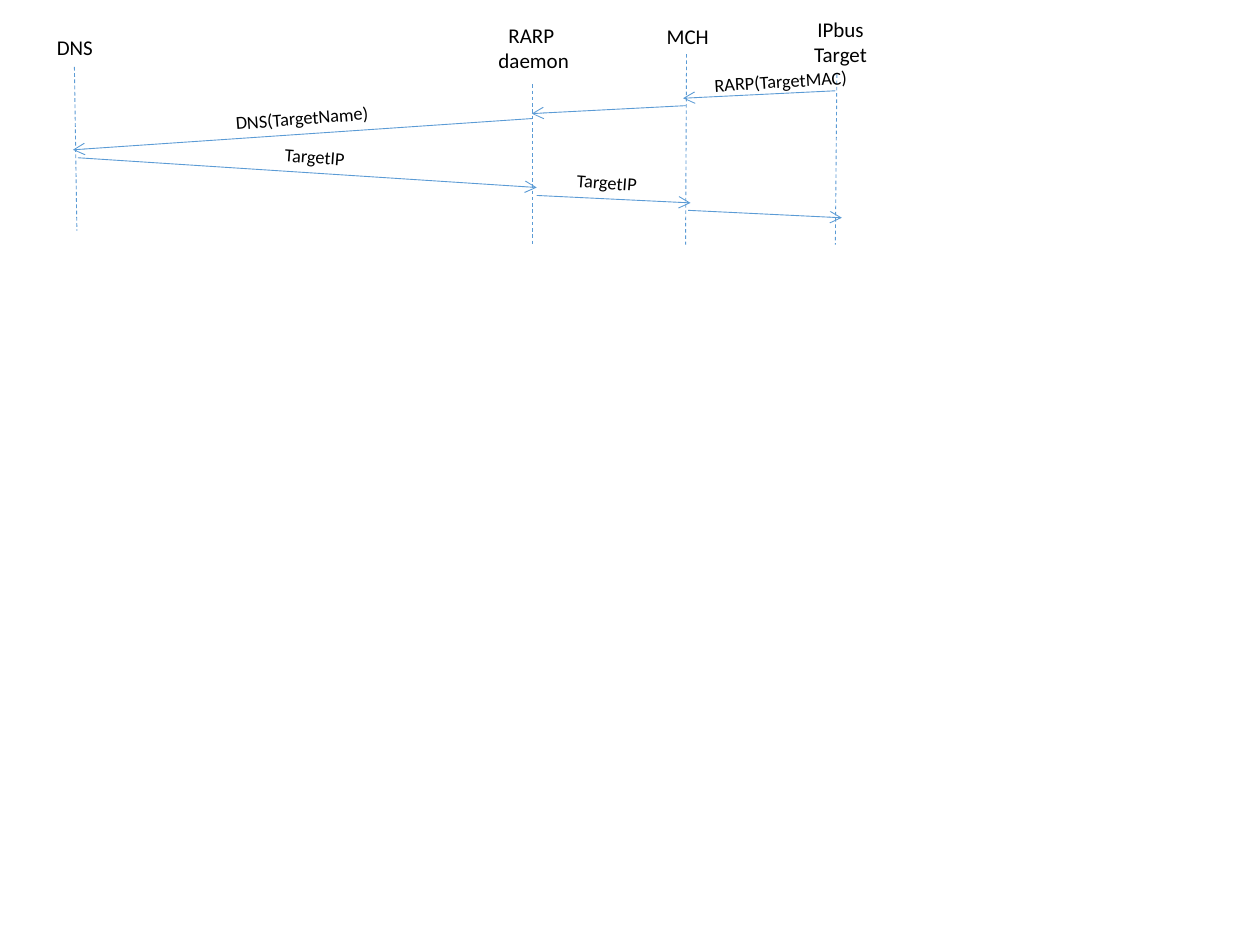
from pptx import Presentation
from pptx.dml.color import RGBColor
from pptx.enum.dml import MSO_LINE
from pptx.enum.shapes import MSO_CONNECTOR
from pptx.enum.text import MSO_AUTO_SIZE, PP_ALIGN
from pptx.oxml.ns import qn
from pptx.util import Cm, Pt
from lxml.etree import SubElement


def color(value):
    """Return the colour for a hex string."""
    return RGBColor.from_string(value)


class SequenceDiagram:
    """Hold the style and the slide of a sequence diagram."""

    font = "Calibri"
    ink = "000000"
    accent = "5B9BD5"
    line_width = 0.5

    def __init__(self, slide):
        """Start drawing on the given slide."""
        self.slide = slide

    def text(self, lines, left, top, width, height, size, align, wrap):
        """Add a text box with one paragraph for each line."""
        sp = self.slide.shapes.add_textbox(Cm(left), Cm(top), Cm(width), Cm(height))
        tf = sp.text_frame
        tf.word_wrap = wrap
        tf.auto_size = MSO_AUTO_SIZE.SHAPE_TO_FIT_TEXT
        tf.text = "\n".join(lines)
        for p in tf.paragraphs:
            p.alignment = align
            p.font.name = self.font
            p.font.size = Pt(size)
            p.font.color.rgb = color(self.ink)
        return sp

    def participant(self, lines, left, top, width, height):
        """Add the centred name of a participant."""
        self.text(lines, left, top, width, height, 12, PP_ALIGN.CENTER, False)

    def label(self, text, left, top, width, angle):
        """Add a message label turned along its arrow."""
        sp = self.text([text], left, top, width, 0.71, 10.5, PP_ALIGN.LEFT, True)
        sp.rotation = angle

    def line(self, x1, y1, x2, y2):
        """Add a thin straight connector without shadow."""
        cxn = self.slide.shapes.add_connector(
            MSO_CONNECTOR.STRAIGHT, Cm(x1), Cm(y1), Cm(x2), Cm(y2))
        cxn.line.color.rgb = color(self.accent)
        cxn.line.width = Pt(self.line_width)
        SubElement(cxn._element.spPr, qn("a:effectLst"))
        return cxn

    def lifeline(self, x1, y1, x2, y2):
        """Add the dashed line below a participant."""
        self.line(x1, y1, x2, y2).line.dash_style = MSO_LINE.DASH

    def message(self, x1, y1, x2, y2):
        """Add an arrow from sender to receiver."""
        cxn = self.line(x1, y1, x2, y2)
        SubElement(cxn.line._get_or_add_ln(), qn("a:tailEnd"), type="arrow")


PARTICIPANTS = [
    (["DNS"], 0.89, 0.58, 1.24, 0.76),
    (["RARP ", "daemon"], 9.78, 0.33, 1.96, 1.27),
    (["MCH"], 13.18, 0.36, 1.37, 0.76),
    (["IPbus", "Target"], 16.13, 0.2, 1.63, 1.27),
]
LIFELINES = [
    (1.5, 1.35, 1.55, 4.65),
    (10.74, 1.7, 10.74, 4.93),
    (13.84, 1.09, 13.82, 4.93),
    (16.87, 1.5, 16.84, 4.93),
]
MESSAGES = [
    (16.84, 1.83, 13.77, 1.98),
    (13.82, 2.13, 10.72, 2.29),
    (10.82, 3.94, 13.92, 4.09),
    (13.87, 4.24, 16.97, 4.39),
    (10.72, 2.39, 1.47, 3.02),
    (1.57, 3.18, 10.82, 3.78),
]
LABELS = [
    ("RARP(TargetMAC)", 14.15, 1.27, 3.51, 356.4),
    ("TargetIP", 11.38, 3.33, 1.83, 4.3),
    ("DNS(TargetName)", 4.5, 2.01, 3.51, 355.6),
    ("TargetIP", 5.49, 2.87, 3.51, 4.1),
]


def main():
    """Build the slide and save it."""
    prs = Presentation()
    prs.slide_width, prs.slide_height = Cm(25.4), Cm(19.05)
    diagram = SequenceDiagram(prs.slides.add_slide(prs.slide_layouts[6]))
    for draw, items in (
        (diagram.participant, PARTICIPANTS),
        (diagram.lifeline, LIFELINES),
        (diagram.message, MESSAGES),
        (diagram.label, LABELS),
    ):
        for item in items:
            draw(*item)
    prs.save("out.pptx")


if __name__ == "__main__":
    main()
